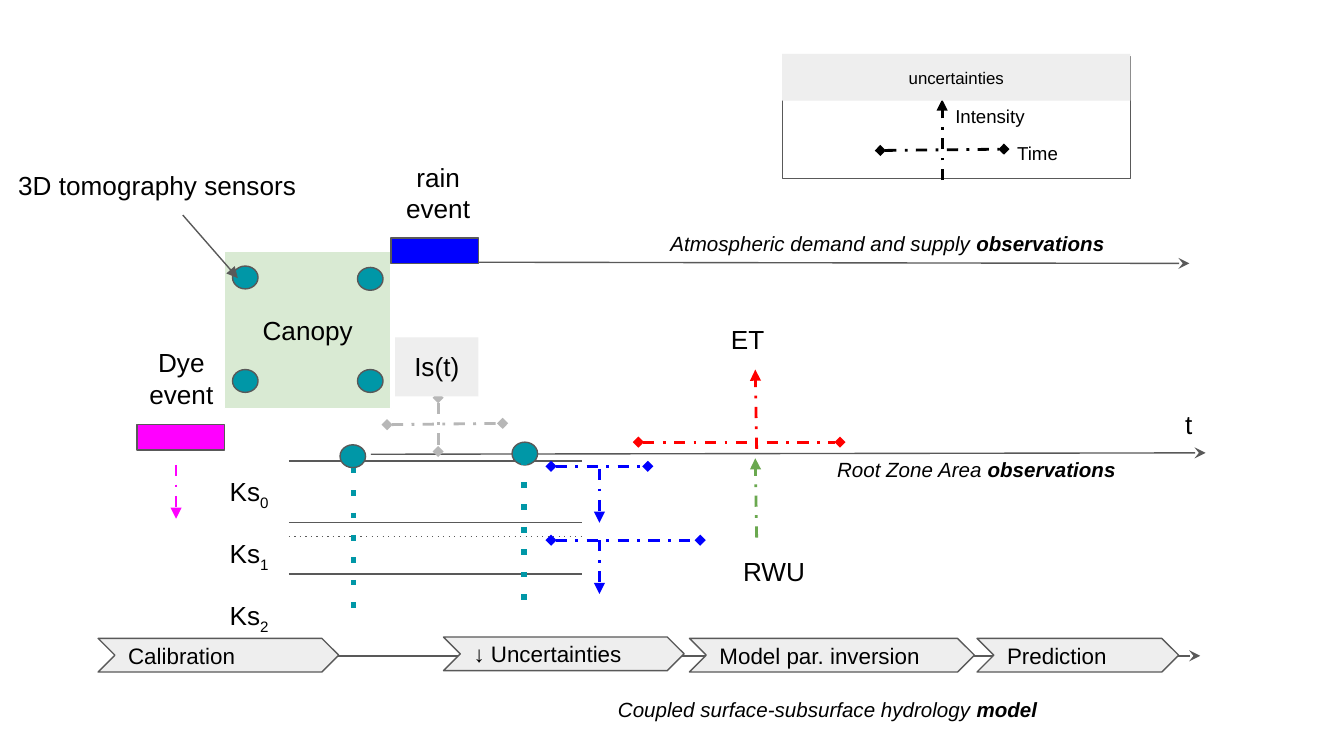
"""Build a diagram slide of hydrology events, sensors and uncertainties."""
from lxml import etree
from pptx import Presentation
from pptx import util as u
from pptx.dml.color import RGBColor
from pptx.enum import shapes, text
from pptx.oxml import ns

PX = 9144
GREY, PALE, TEAL = "595959", "EEEEEE", "0097A7"
BLUE, RED, PINK, SILVER = "0000FF", "FF0000", "FF00FF", "B7B7B7"
RECT = shapes.MSO_SHAPE.RECTANGLE
OVAL = shapes.MSO_SHAPE.OVAL
CHEVRON = shapes.MSO_SHAPE.CHEVRON
LEFT, MID = text.PP_ALIGN.LEFT, text.PP_ALIGN.CENTER
color = RGBColor.from_string

deck = Presentation()
deck.slide_width = 1000 * PX
deck.slide_height = deck.slide_width * 9 // 16
slide = deck.slides.add_slide(deck.slide_layouts[6])


def box(at, words="", size=14, align=LEFT, kind=None, fill=None, edge=None, tail=""):
    area = [n * PX for n in at]
    if kind is None:
        shape = slide.shapes.add_textbox(*area)
    else:
        shape = slide.shapes.add_shape(kind, *area)
        shape.shadow.inherit = False
        if fill:
            shape.fill.solid()
            shape.fill.fore_color.rgb = color(fill)
        else:
            shape.fill.background()
        if edge:
            shape.line.color.rgb = color(edge)
            shape.line.width = u.Pt(0.75)
        else:
            shape.line.fill.background()
    if words:
        frame = shape.text_frame
        frame.word_wrap = True
        frame.margin_left = frame.margin_right = 10 * PX
        frame.margin_top = frame.margin_bottom = 10 * PX
        frame.vertical_anchor = (text.MSO_ANCHOR.MIDDLE if kind == CHEVRON
                                 else text.MSO_ANCHOR.TOP)
        para = frame.paragraphs[0]
        para.text = words
        para.alignment = align
        if tail:
            para.add_run().text = tail
        for run in para.runs:
            run.font.name = "Arial"
            run.font.size = u.Pt(size)
            run.font.color.rgb = color("000000")
    return shape


def line(ends, hue=GREY, width=0.75, dash=None, head=None, tail=None):
    link = slide.shapes.add_connector(
        shapes.MSO_CONNECTOR.STRAIGHT, *[n * PX for n in ends])
    link.line.color.rgb = color(hue)
    link.line.width = u.Pt(width)
    props = link._element.spPr
    stroke = props.find(ns.qn("a:ln"))
    if dash:
        etree.SubElement(stroke, ns.qn("a:prstDash")).set("val", dash)
    for tag, tip in (("a:headEnd", head), ("a:tailEnd", tail)):
        if tip:
            etree.SubElement(stroke, ns.qn(tag)).set("type", tip)
    etree.SubElement(props, ns.qn("a:effectLst"))


box((582, 42, 259, 91), kind=RECT, edge=GREY)
for axis in ((276, 338, 897, 337), (291, 195, 885, 196), (215, 488, 893, 488)):
    line(axis, tail="stealth")
for y in (343, 389, 427):
    line((215, y, 433, y))
line((215, 399, 433, 399), dash="dot")

for at, words, end in (
        ((489, 163, 383, 39), "Atmospheric demand and supply ", "observations"),
        ((613, 331, 328, 39), "Root Zone Area ", "observations"),
        ((450, 509, 363, 39), "Coupled surface-subsurface hydrology ", "model")):
    note = box(at, words, 11, tail=end)
    runs = note.text_frame.paragraphs[0].runs
    for run in runs:
        run.font.italic = True
    runs[-1].font.bold = True

for i in range(3):
    layer = box((161, 344 + 46 * i, 62, 44), "Ks", tail=str(i))
    sub = layer.text_frame.paragraphs[0].runs[-1]
    sub.font._element.set("baseline", "-25000")

box((167, 187, 124, 117), kind=RECT, fill="D9EAD3", edge="FFFFFF")
box((291, 177, 65, 19), kind=RECT, fill=BLUE, edge=GREY)
box((102, 316, 65, 19), kind=RECT, fill=PINK, edge=GREY)
for x, y in ((253, 331), (381, 329), (173, 275), (266, 199), (173, 198), (266, 275)):
    box((x, y, 19, 17), kind=OVAL, fill=TEAL, edge=GREY)
for x, y in ((263, 348), (390, 342)):
    line((x, y, x, y + 114), TEAL, 3, "dot")

for ends, hue in (
        ((446, 349, 446, 389), BLUE), ((446, 402, 446, 442), BLUE),
        ((563, 334, 562, 275), RED), ((563, 400, 562, 341), "6AA84F"),
        ((701, 134, 701, 74), "000000"), ((131, 346, 131, 386), PINK)):
    line(ends, hue, 1.5, "dashDot", tail="triangle")
for ends, hue in (
        ((326, 296, 326, 336), SILVER), ((288, 316, 374, 315), SILVER),
        ((475, 329, 625, 329), RED), ((410, 347, 482, 347), BLUE),
        ((410, 402, 521, 402), BLUE), ((655, 112, 747, 111), "000000")):
    line(ends, hue, 1.5, "dashDot", "diamond", "diamond")
line((136, 160, 177, 207), tail="triangle")

box((294, 251, 62, 44), "Is(t)", 14, MID, RECT, PALE)
box((582, 40, 259, 35), "uncertainties", 9, MID, RECT, PALE)
for at, words, size, align in (
        ((274, 110, 104, 67), "rain event", 14, MID),
        ((83, 248, 104, 67), "Dye event", 14, MID),
        ((177, 224, 104, 44), "Canopy", 14, MID),
        ((-47, 116, 328, 44), "3D tomography sensors", 14, MID),
        ((872, 294, 25, 44), "t", 14, LEFT),
        ((534, 231, 57, 44), "ET", 14, LEFT),
        ((543, 403, 72, 44), "RWU", 14, LEFT),
        ((747, 97, 145, 37), "Time", 10, LEFT),
        ((701, 70, 104, 37), "Intensity", 10, LEFT)):
    box(at, words, size, align)

for x, y, wide, words in (
        (73, 475, 179, "Calibration"), (330, 474, 179, "↓ Uncertainties"),
        (513, 475, 212, "Model par. inversion"), (727, 475, 150, "Prediction")):
    box((x, y, wide, 25), words, 12, LEFT, CHEVRON, PALE, GREY)

deck.save("out.pptx")
